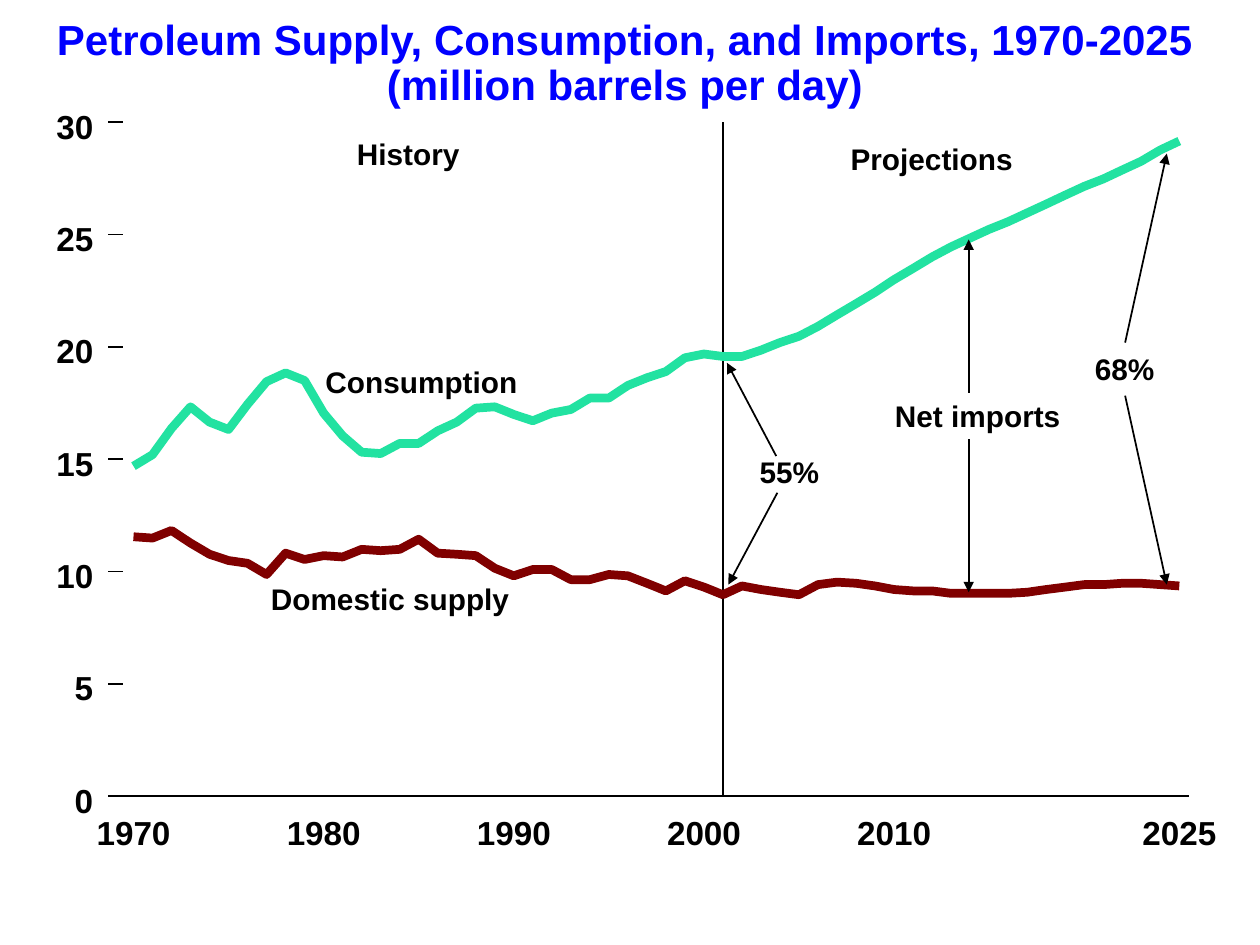
from typing import NamedTuple

from lxml import etree
from pptx import Presentation
from pptx.dml.color import RGBColor
from pptx.enum.shapes import MSO_CONNECTOR
from pptx.enum.text import MSO_AUTO_SIZE, PP_ALIGN
from pptx.oxml.ns import qn
from pptx.util import Inches, Pt

LINE = MSO_CONNECTOR.STRAIGHT
GROW = MSO_AUTO_SIZE.SHAPE_TO_FIT_TEXT
CENTER, RIGHT = PP_ALIGN.CENTER, PP_ALIGN.RIGHT

BLACK = RGBColor(0, 0, 0)
BLUE = RGBColor(0, 0, 255)
GREEN = RGBColor(0x22, 0xE2, 0xA1)
MAROON = RGBColor(0x80, 0, 0)

# The plot grid: one column a year, one row a million barrels per day
FIRST, LAST, SPLIT = 1970, 2025, 2001
TOP, STEP = 30, 5
LEFT, BASE = 1.06, 6.32
COL = 8.3 / (LAST - FIRST)
ROW = 5.35 / TOP
TICK, AXIS, END = 0.86, 0.98, 9.44


class Label(NamedTuple):
    text: str
    year: float
    value: float
    width: float


class Arrow(NamedTuple):
    """A line with its arrowhead at the first year and value."""
    year: float
    value: float
    end_year: float
    end_value: float


class Series(NamedTuple):
    color: RGBColor
    values: list[float]


LABELS = [
    Label("Domestic supply", 1983.49, 8.8, 1.95),
    Label("Consumption", 1985.14, 18.48, 1.57),
    Label("History", 1984.45, 28.62, 0.86),
    Label("Projections", 2011.98, 28.37, 1.33),
    Label("Net imports", 2014.4, 16.95, 1.36),
    Label("55%", 2004.49, 14.47, 0.52),
    Label("68%", 2022.12, 19.06, 0.52),
]

ARROWS = [
    Arrow(2013.92, 24.78, 2013.92, 17.94),
    Arrow(2013.92, 9.08, 2013.92, 15.92),
    Arrow(2024.34, 9.42, 2022.15, 17.83),
    Arrow(2024.34, 28.6, 2022.15, 20.19),
    Arrow(2001.21, 19.29, 2003.8, 15.14),
    Arrow(2001.28, 9.42, 2003.86, 13.51),
]

CONSUMPTION = Series(GREEN, [
    14.69, 15.2, 16.37, 17.33, 16.65, 16.32, 17.44, 18.45, 18.84, 18.5,
    17.05, 16.04, 15.31, 15.25, 15.7, 15.7, 16.26, 16.65, 17.27, 17.33,
    16.99, 16.71, 17.05, 17.21, 17.72, 17.72, 18.28, 18.62, 18.9, 19.51,
    19.68, 19.57, 19.57, 19.85, 20.19, 20.47, 20.91, 21.42, 21.92, 22.43,
    22.99, 23.49, 24, 24.45, 24.84, 25.23, 25.57, 25.96, 26.35, 26.75,
    27.14, 27.47, 27.87, 28.26, 28.76, 29.16,
])

SUPPLY = Series(MAROON, [
    11.55, 11.49, 11.83, 11.27, 10.77, 10.49, 10.37, 9.87, 10.82, 10.54,
    10.71, 10.65, 10.99, 10.93, 10.99, 11.44, 10.82, 10.77, 10.71, 10.15,
    9.81, 10.09, 10.09, 9.64, 9.64, 9.87, 9.81, 9.48, 9.14, 9.59,
    9.31, 8.97, 9.36, 9.2, 9.08, 8.97, 9.42, 9.53, 9.48, 9.36,
    9.2, 9.14, 9.14, 9.03, 9.03, 9.03, 9.03, 9.08, 9.2, 9.31,
    9.42, 9.42, 9.48, 9.48, 9.42, 9.36,
])


def across(year: float) -> float:
    return LEFT + (year - FIRST) * COL


def down(value: float) -> float:
    return BASE - value * ROW


def add_text(slide, text: str, box: tuple, size: int,
             color: RGBColor = BLACK, align=CENTER, spacing: float = 1.0):
    frame = slide.shapes.add_textbox(*map(Inches, box)).text_frame
    frame.margin_left = frame.margin_right = 0
    frame.margin_top = frame.margin_bottom = 0
    frame.word_wrap = False
    frame.auto_size = GROW
    frame.text = text
    for para in frame.paragraphs:
        para.alignment = align
        para.line_spacing = spacing
        for run in para.runs:
            font = run.font
            font.name, font.size, font.bold = "Arial", Pt(size), True
            font.color.rgb = color


def add_line(slide, x1: float, y1: float, x2: float, y2: float,
             head: bool = False):
    line = slide.shapes.add_connector(LINE, *map(Inches, (x1, y1, x2, y2)))
    line.line.color.rgb = BLACK
    line.line.width = Pt(1)
    if head:
        etree.SubElement(line.line._get_or_add_ln(), qn("a:headEnd"),
                         type="triangle")
    etree.SubElement(line._element.spPr, qn("a:effectLst"))


def add_series(slide, series: Series):
    points = [(Inches(across(FIRST + i)), Inches(down(value)))
              for i, value in enumerate(series.values)]
    path = slide.shapes.build_freeform(*points[0])
    path.add_line_segments(points[1:], close=False)
    curve = path.convert_to_shape()
    curve.shadow.inherit = False
    curve.fill.background()
    curve.line.color.rgb = series.color
    curve.line.width = Pt(5)


def add_axes(slide):
    for value in range(0, TOP + 1, STEP):
        add_line(slide, TICK, down(value), AXIS, down(value))
        wide = 0.16 * len(str(value))
        add_text(slide, str(value),
                 (0.74 - wide, down(value) - 0.13, wide, 0.32), 19,
                 align=RIGHT)
    add_line(slide, AXIS, BASE, END, BASE)
    for year in (*range(FIRST, 2011, 10), LAST):
        add_text(slide, str(year),
                 (across(year) - 0.31, 6.45, 0.62, 0.32), 19)


def main():
    deck = Presentation()
    deck.slide_width, deck.slide_height = Inches(10), Inches(7.5)
    slide = deck.slides.add_slide(deck.slide_layouts[6])
    add_text(slide, "Petroleum Supply, Consumption, and Imports, 1970-2025\n"
             "(million barrels per day)", (0.41, 0.15, 9.1, 0.72), 24,
             BLUE, spacing=0.9)
    add_line(slide, across(SPLIT), down(TOP), across(SPLIT), BASE)
    for series in (CONSUMPTION, SUPPLY):
        add_series(slide, series)
    add_axes(slide)
    for text, year, value, wide in LABELS:
        add_text(slide, text, (across(year) - wide / 2, down(value) - 0.14,
                               wide, 0.28), 17)
    for year, value, end_year, end_value in ARROWS:
        add_line(slide, across(year), down(value),
                 across(end_year), down(end_value), head=True)
    deck.save("out.pptx")


if __name__ == "__main__":
    main()
